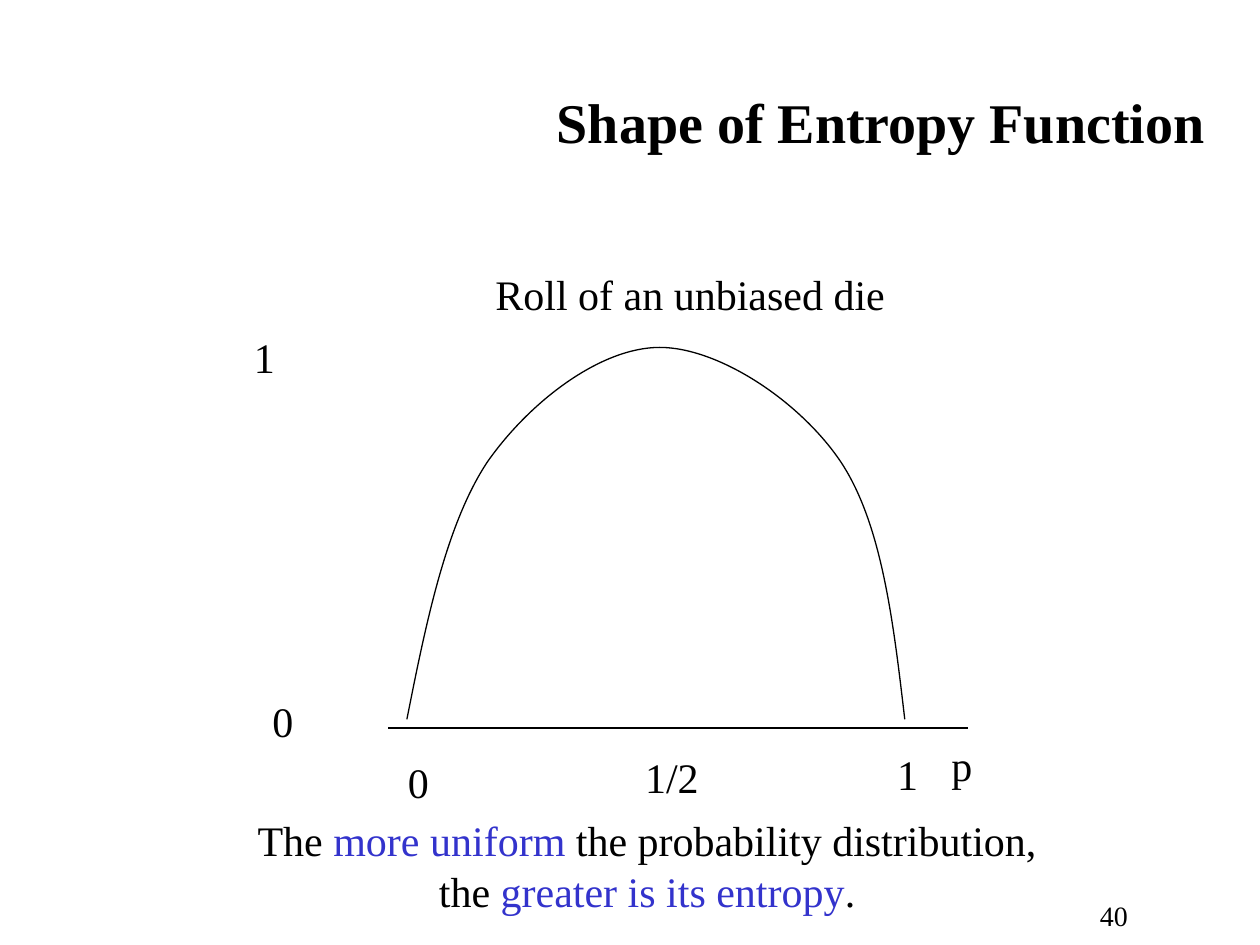
from dataclasses import dataclass

from lxml.etree import SubElement
from pptx import Presentation
from pptx.dml.color import RGBColor
from pptx.enum.shapes import MSO_CONNECTOR as Connector
from pptx.enum.text import MSO_ANCHOR as Anchor, MSO_AUTO_SIZE as AutoSize, PP_ALIGN as Align
from pptx.oxml.ns import qn
from pptx.slide import Slide
from pptx.util import Pt

BLACK = RGBColor(0x00, 0x00, 0x00)
BLUE = RGBColor(0x33, 0x33, 0xCC)

AXIS_LABELS = [
    ("0", 148.5, 394, 26.5),
    ("1", 138, 186, 26.5),
    ("0", 226, 429, 26.5),
    ("1/2", 361.5, 426, 45.5),
    ("1", 505.5, 424, 26.5),
    ("p", 536.5, 419, 26.5),
]
ENTROPY_START = (232.5, 411)
ENTROPY_CONTROLS = [
    (243.5, 355.5), (255, 299.5), (278.5, 264),
    (303, 229), (343.5, 198.5), (377, 198.5),
    (410.5, 198.5), (457, 229), (480.5, 264),
    (504, 299.5), (510.5, 355.5), (517, 411),
]
CONCLUSION = [
    [("The ", BLACK), ("more uniform", BLUE), (" the probability distribution,", BLACK)],
    [("the ", BLACK), ("greater is its entropy", BLUE), (".", BLACK)],
]


@dataclass
class SlideBuilder:
    """Hold the slide and its style, and add each kind of element."""

    slide: Slide
    font_name: str = "Times New Roman"
    text_size: float = 24
    line_width: float = 0.75

    def style(self, paragraph, align, size, bold=False):
        paragraph.alignment = align
        font = paragraph.font
        font.name, font.size, font.bold = self.font_name, Pt(size), bold
        font.color.rgb = BLACK

    def title(self, text, left, top, width, height):
        shape = self.slide.shapes.title
        shape.left, shape.top, shape.width, shape.height = map(Pt, (left, top, width, height))
        frame = shape.text_frame
        frame.text = text
        frame.vertical_anchor = Anchor.MIDDLE
        self.style(frame.paragraphs[0], Align.RIGHT, 32, bold=True)

    def text(self, lines, left, top, width, height=36, align=Align.LEFT, size=None):
        frame = self.slide.shapes.add_textbox(*map(Pt, (left, top, width, height))).text_frame
        frame.word_wrap = False
        frame.auto_size = AutoSize.SHAPE_TO_FIT_TEXT
        for index, pieces in enumerate(lines):
            paragraph = frame.add_paragraph() if index else frame.paragraphs[0]
            self.style(paragraph, align, size or self.text_size)
            for words, color in pieces:
                run = paragraph.add_run()
                run.text = words
                if color != BLACK:
                    run.font.color.rgb = color

    def outline(self, shape):
        shape.line.color.rgb = BLACK
        shape.line.width = Pt(self.line_width)

    def line(self, x1, y1, x2, y2):
        connector = self.slide.shapes.add_connector(Connector.STRAIGHT, *map(Pt, (x1, y1, x2, y2)))
        self.outline(connector)
        SubElement(connector.element.spPr, qn("a:effectLst"))

    def curve(self, start, controls):
        builder = self.slide.shapes.build_freeform(*map(Pt, start))
        builder.add_line_segments([(Pt(x), Pt(y)) for x, y in controls], close=False)
        shape = builder.convert_to_shape()
        segments = list(shape.element.iter(qn("a:lnTo")))
        for index in range(0, len(segments), 3):
            bezier = SubElement(segments[index].getparent(), qn("a:cubicBezTo"))
            for segment in segments[index:index + 3]:
                bezier.append(segment[0])
                segment.getparent().remove(segment)
        shape.fill.background()
        shape.shadow.inherit = False
        self.outline(shape)


def main():
    presentation = Presentation()
    presentation.slide_width, presentation.slide_height = Pt(720), Pt(540)
    builder = SlideBuilder(presentation.slides.add_slide(presentation.slide_layouts[5]))
    builder.title("Shape of Entropy Function", 84, 24, 612, 90)
    builder.text([[("Roll of an unbiased die", BLACK)]], 276, 150, 237)
    builder.curve(ENTROPY_START, ENTROPY_CONTROLS)
    builder.line(222, 416, 553, 416)
    for label, left, top, width in AXIS_LABELS:
        builder.text([[(label, BLACK)]], left, top, width)
    builder.text(CONCLUSION, 137.5, 462, 464.5, 65.5, Align.CENTER)
    builder.text([[("40", BLACK)]], 620, 510, 33, 26.5, Align.CENTER, 16)
    presentation.save("out.pptx")


if __name__ == "__main__":
    main()
